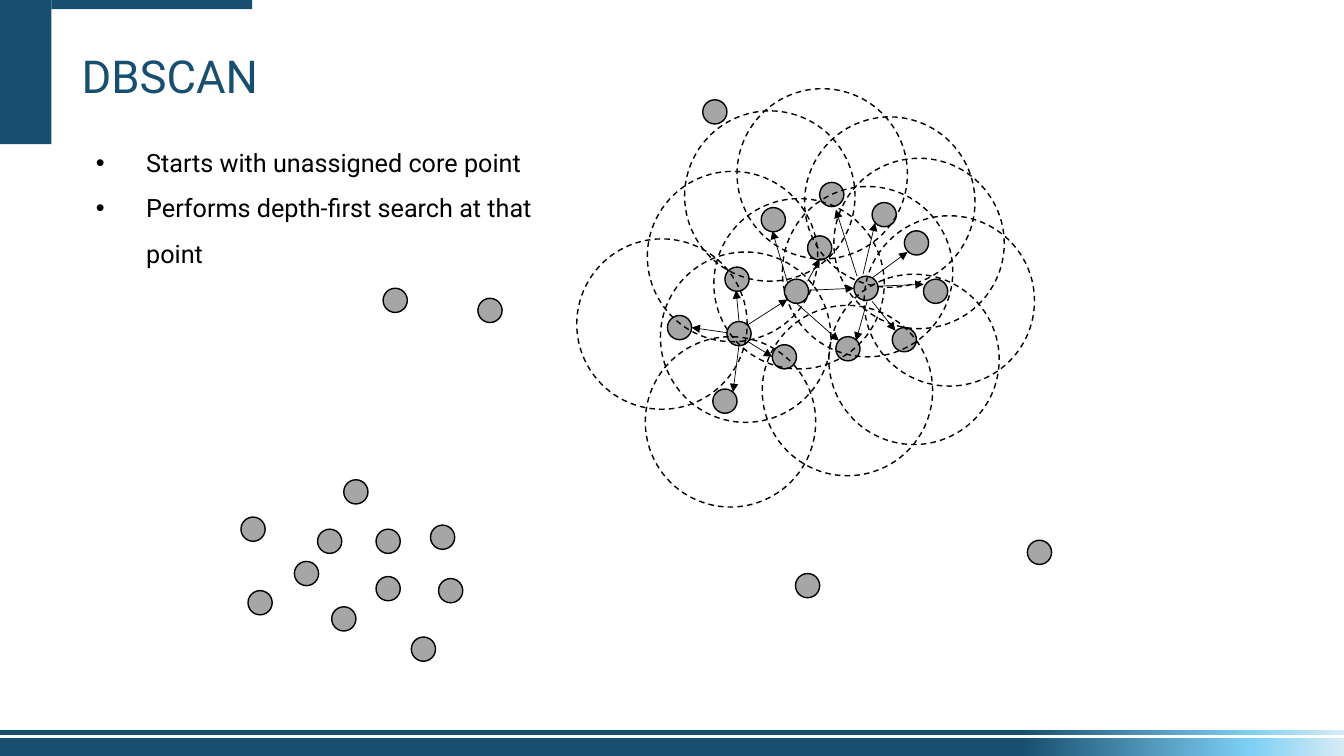
import copy

from pptx import Presentation, util as u
from pptx.dml.color import RGBColor
from pptx.enum import dml, shapes, text
from pptx.oxml import ns, xmlchemy

PX = 9144  # 100 px to the inch
NAVY, BLACK, GREY = "184F70", "000000", "A6A6A6"
POINT_SIZE, REACH_SIZE = 24, 169


def draw(kind, left, top, width, height, fill=None, line=None, dash=None):
    shape = page.shapes.add_shape(kind, left * PX, top * PX, width * PX, height * PX)
    shape.shadow.inherit = False
    if fill:
        shape.fill.solid()
        shape.fill.fore_color.rgb = RGBColor.from_string(fill)
    else:
        shape.fill.background()
    if line:
        shape.line.color.rgb = RGBColor.from_string(line)
        shape.line.width = u.Pt(1)
        shape.line.dash_style = dash
    else:
        shape.line.fill.background()
    return shape


def write(para, content, size, color, bullet=None):
    para.alignment = text.PP_ALIGN.LEFT
    para.line_spacing = 1.5
    para.space_before = u.Pt(0)
    if bullet:
        props = para._p.get_or_add_pPr()
        props.set("marL", str(50 * PX))
        props.set("indent", str(-50 * PX))
        mark = xmlchemy.OxmlElement("a:buChar")
        mark.set("char", bullet)
        props.append(mark)
    span = para.add_run()
    span.text = content
    span.font.name = "Roboto"
    span.font.size = u.Pt(size)
    span.font.color.rgb = RGBColor.from_string(color)


deck = Presentation()
deck.slide_width, deck.slide_height = 1333 * PX, 750 * PX
page = deck.slides.add_slide(deck.slide_layouts[1])
RECT, OVAL = shapes.MSO_SHAPE.RECTANGLE, shapes.MSO_SHAPE.OVAL

# Footer bands fading to light blue
for top, height in [(732, 18), (724, 5)]:
    band = draw(RECT, 0, top, 1333, height, fill=NAVY)
    band.fill.gradient()
    band.fill.gradient_angle = 0
    stop_list = band._element.spPr.find(ns.qn("a:gradFill")).find(ns.qn("a:gsLst"))
    stop_list.append(copy.deepcopy(stop_list[-1]))
    fade = [(0.76, NAVY), (0.93, "7DCFF4"), (1, "D8EBF7")]
    for stop, (position, color) in zip(band.fill.gradient_stops, fade):
        stop.position = position
        stop.color.rgb = RGBColor.from_string(color)

# Corner bars
draw(RECT, 0, 0, 51, 143, fill=NAVY)
draw(RECT, 51, 0, 199, 9, fill=NAVY)

# Title and list
title, body = page.shapes.title, page.placeholders[1]
for box, (left, top, width, height), anchor, fit in [
    (title, (71, 23, 301, 76), text.MSO_ANCHOR.MIDDLE, text.MSO_AUTO_SIZE.NONE),
    (body, (85, 126, 494, 95), text.MSO_ANCHOR.TOP, text.MSO_AUTO_SIZE.SHAPE_TO_FIT_TEXT),
]:
    box.left, box.top, box.width, box.height = left * PX, top * PX, width * PX, height * PX
    box.text_frame.vertical_anchor = anchor
    box.text_frame.auto_size = fit
    box.text_frame.word_wrap = True
write(title.text_frame.paragraphs[0], "DBSCAN", 32.4, NAVY)
write(body.text_frame.paragraphs[0], "Starts with unassigned core point", 18, BLACK, "•")
write(body.text_frame.add_paragraph(), "Performs depth-first search at that point", 18, BLACK, "•")

# Data points: searched cluster, second cluster, noise
searched = [
    (847, 274), (829, 334), (778, 277), (721, 319), (766, 342), (801, 234),
    (897, 229), (865, 201), (885, 325), (719, 265), (813, 181), (707, 386),
    (916, 277), (662, 313), (755, 206),
]
unsearched = [
    (408, 632), (329, 602), (315, 525), (373, 572), (373, 525), (435, 574),
    (427, 521), (341, 476), (246, 586), (239, 513), (292, 557),
]
noise = [(380, 286), (474, 296), (697, 99), (1019, 536), (789, 569)]
for left, top in searched + unsearched + noise:
    draw(OVAL, left, top, POINT_SIZE, POINT_SIZE, fill=GREY, line=BLACK)

# Search steps
steps = [
    (742, 322, 781, 297), (742, 339, 766, 354), (733, 342, 727, 389),
    (721, 330, 686, 325), (733, 319, 730, 288), (801, 279, 813, 257),
    (789, 300, 832, 338), (801, 288, 847, 286), (781, 280, 766, 229),
    (870, 284, 916, 282), (866, 275, 900, 250), (856, 272, 868, 221),
    (850, 274, 829, 208), (865, 299, 888, 328), (860, 299, 849, 338),
]
for step in steps:
    arrow = page.shapes.add_connector(shapes.MSO_CONNECTOR.STRAIGHT, *(n * PX for n in step))
    arrow.line.color.rgb = RGBColor.from_string(BLACK)
    arrow.line.width = u.Pt(0.5)
    head = xmlchemy.OxmlElement("a:tailEnd")
    head.set("type", "triangle")
    arrow.line._get_or_add_ln().append(head)
    arrow._element.spPr.append(xmlchemy.OxmlElement("a:effectLst"))

# Neighbourhood circles
reaches = [
    (655, 250), (708, 197), (776, 185), (731, 88), (798, 116), (827, 157), (857, 214),
    (822, 272), (640, 334), (756, 303), (572, 237), (642, 170), (679, 110),
]
for left, top in reaches:
    draw(OVAL, left, top, REACH_SIZE, REACH_SIZE, line=BLACK, dash=dml.MSO_LINE.DASH)

deck.save("out.pptx")
